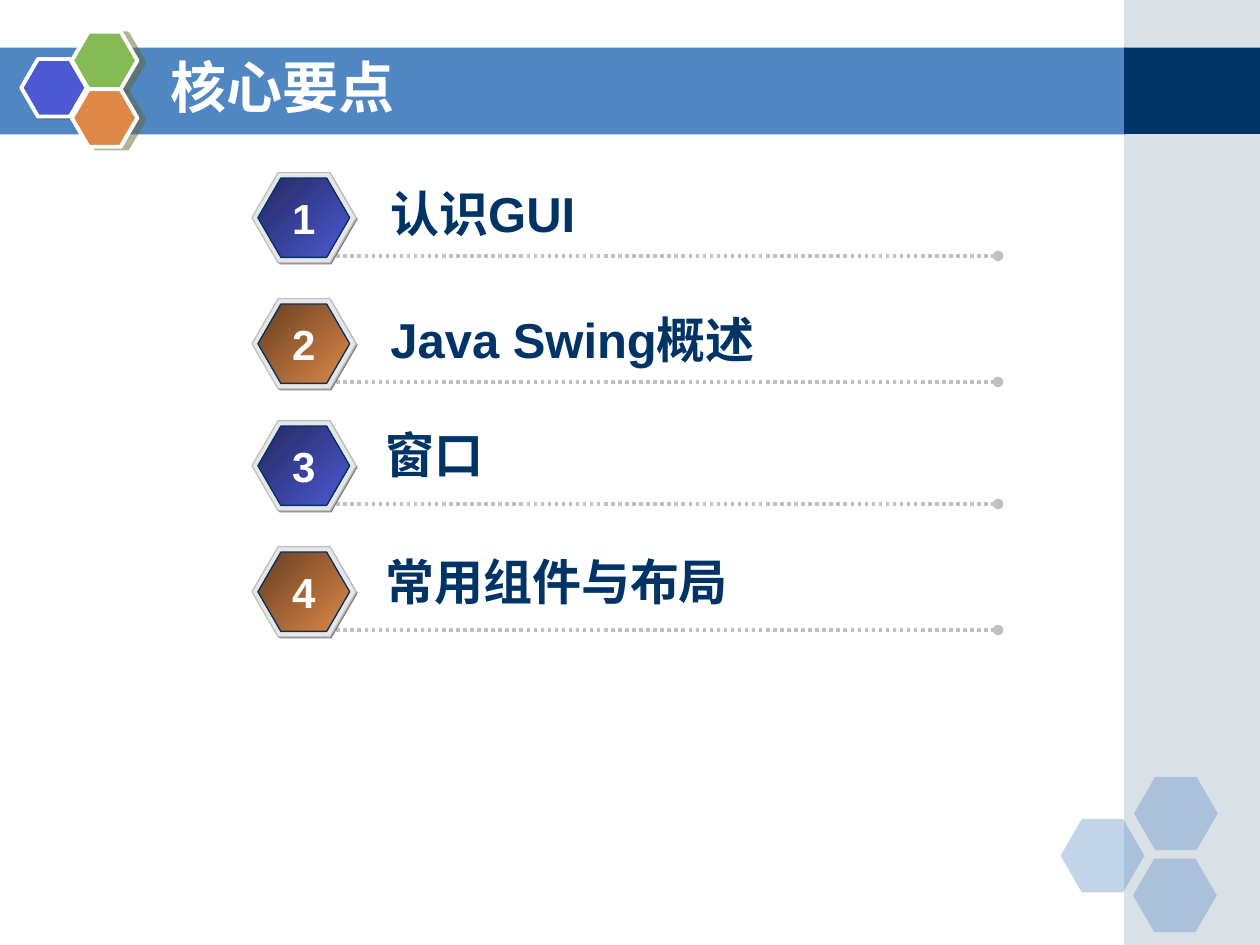
import dataclasses

import pptx
import pptx.dml.color
import pptx.enum.dml
import pptx.enum.shapes
import pptx.enum.text
import pptx.oxml
import pptx.oxml.ns
import pptx.util
from lxml import etree

Cm = pptx.util.Cm
Pt = pptx.util.Pt
qn = pptx.oxml.ns.qn
MSO_SHAPE = pptx.enum.shapes.MSO_SHAPE
PP_ALIGN = pptx.enum.text.PP_ALIGN


@dataclasses.dataclass(frozen=True)
class Theme:
    navy: str = "003366"
    band: str = "5086C2"
    panel: str = "A0B5C4"
    white: str = "FFFFFF"
    blue: str = "4C59D2"
    blue_dark: str = "232961"
    green: str = "85BA54"
    orange: str = "DE8848"
    orange_dark: str = "673F21"
    rim: str = "E6E6E6"
    silver: str = "C0C0C0"
    grey: str = "808080"
    shadow: str = "666633"
    latin: str = "Arial"
    chinese: str = "Noto Sans CJK SC"
    title_size: int = 32
    label_size: int = 28
    number_size: int = 24


THEME = Theme()
TITLE = "核心要点"
# Label, top of the badge, left and top of the label (cm)
ITEMS = [
    ("认识GUI", 3.48, 7.62, 3.58),
    ("Java Swing概述", 6.02, 7.62, 6.12),
    ("窗口", 8.48, 7.52, 8.43),
    ("常用组件与布局", 11.02, 7.52, 11.0),
]


def rgb(color):
    return pptx.dml.color.RGBColor.from_string(color)


def add_shape(slide, kind, left, top, width, height, color, alpha=None, line=None, line_width=0.75):
    shape = slide.shapes.add_shape(kind, Cm(left), Cm(top), Cm(width), Cm(height))
    shape.shadow.inherit = False
    shape.fill.solid()
    shape.fill.fore_color.rgb = rgb(color)
    if alpha is not None:
        tint = shape.element.spPr.find(".//" + qn("a:srgbClr"))
        etree.SubElement(tint, qn("a:alpha"), val=str(alpha * 1000))
    if line:
        shape.line.color.rgb = rgb(line)
        shape.line.width = Pt(line_width)
    else:
        shape.line.fill.background()
    return shape


def add_hexagon(slide, left, top, width, height, color, **style):
    shape = add_shape(slide, MSO_SHAPE.HEXAGON, left, top, width, height, color, **style)
    shape.adjustments[0] = 0.29
    return shape


def cast_shadow(shape):
    effects = shape.element.spPr.find(qn("a:effectLst"))
    shadow = etree.SubElement(effects, qn("a:outerShdw"), dist=str(Pt(4.1)),
                              dir=str(14 * 60000), algn="ctr", rotWithShape="0")
    tint = etree.SubElement(shadow, qn("a:srgbClr"), val=THEME.shadow)
    etree.SubElement(tint, qn("a:alpha"), val="50000")


def write(frame, text, size, color, latin, align=PP_ALIGN.LEFT):
    para = frame.paragraphs[0]
    para.alignment = align
    span = para.add_run()
    span.text = text
    span.font.size = Pt(size)
    span.font.bold = True
    span.font.name = latin
    span.font.color.rgb = rgb(color)
    latin_tag = span.font._element.find(qn("a:latin"))
    east_asian = etree.Element(qn("a:ea"), typeface=THEME.chinese)
    latin_tag.addnext(east_asian)


def add_text(slide, left, top, width, height, text, size, color, align=PP_ALIGN.LEFT, wrap=True):
    box = slide.shapes.add_textbox(Cm(left), Cm(top), Cm(width), Cm(height))
    box.text_frame.word_wrap = wrap
    write(box.text_frame, text, size, color, THEME.latin, align)


def add_dotted_line(slide, left, right, y):
    line = slide.shapes.add_connector(
        pptx.enum.shapes.MSO_CONNECTOR.STRAIGHT, Cm(left), Cm(y), Cm(right), Cm(y))
    line.line.color.rgb = rgb(THEME.silver)
    line.line.width = Pt(2)
    line.line.dash_style = pptx.enum.dml.MSO_LINE.ROUND_DOT
    properties = line.element.spPr
    etree.SubElement(properties.find(qn("a:ln")), qn("a:tailEnd"), type="oval")
    etree.SubElement(properties, qn("a:effectLst"))


def add_badge(slide, top, dark, light):
    add_hexagon(slide, 5.11, top + 0.03, 2.1, 1.82, THEME.grey)
    add_hexagon(slide, 5.08, top, 2.1, 1.82, THEME.rim, line=THEME.silver)
    face = add_hexagon(slide, 5.2, top + 0.11, 1.85, 1.6, light, line=THEME.navy)
    face.fill.gradient()
    face.fill.gradient_angle = 315
    for stop, color in zip(face.fill.gradient_stops, (dark, light)):
        stop.color.rgb = rgb(color)


def add_item(slide, number, label, top, label_left, label_top):
    odd = number % 2 == 1
    dark, light = ((THEME.blue_dark, THEME.blue) if odd
                   else (THEME.orange_dark, THEME.orange))
    add_dotted_line(slide, 6.78, 20.12, top + 1.68)
    add_badge(slide, top, dark, light)
    add_text(slide, label_left, label_top, 11.8, 1.45, label, THEME.label_size, THEME.navy)
    add_text(slide, 5.64, top + 0.27, 0.97, 1.27, str(number), THEME.number_size,
             THEME.white, PP_ALIGN.CENTER, wrap=False)


def add_background(slide):
    # Title band and side panel
    add_shape(slide, MSO_SHAPE.RECTANGLE, 0, 0.96, 22.7, 1.75, THEME.band)
    add_shape(slide, MSO_SHAPE.RECTANGLE, 22.66, 0, 2.74, 19.05, THEME.panel, alpha=40)
    add_shape(slide, MSO_SHAPE.RECTANGLE, 22.66, 0.96, 2.74, 1.74, THEME.navy)
    # Pale hexagons at the bottom right
    for left, top in ((21.38, 16.51), (22.86, 15.66), (22.84, 17.31)):
        add_hexagon(slide, left, top, 1.69, 1.48, THEME.band, alpha=35)
    # Coloured hexagons beside the title
    for left, top, color in ((0.43, 1.19, THEME.blue), (1.45, 0.64, THEME.green),
                             (1.45, 1.8, THEME.orange)):
        cast_shadow(add_hexagon(slide, left, top, 1.32, 1.16, color,
                                line=THEME.white, line_width=2.25))


def add_title(slide):
    title = slide.shapes.title
    title.left, title.top, title.width, title.height = Cm(3.18), Cm(0.84), Cm(18.62), Cm(1.78)
    title.text_frame.vertical_anchor = pptx.enum.text.MSO_ANCHOR.MIDDLE
    write(title.text_frame, TITLE, THEME.title_size, THEME.white, THEME.chinese)
    # Bring the title in front of the band
    title.element.getparent().append(title.element)


def main():
    deck = pptx.Presentation()
    deck.slide_width, deck.slide_height = Cm(25.4), Cm(19.05)
    page = deck.slides.add_slide(deck.slide_layouts[5])
    add_background(page)
    add_title(page)
    for number, item in enumerate(ITEMS, start=1):
        add_item(page, number, *item)
    deck.save("out.pptx")


if __name__ == "__main__":
    main()
